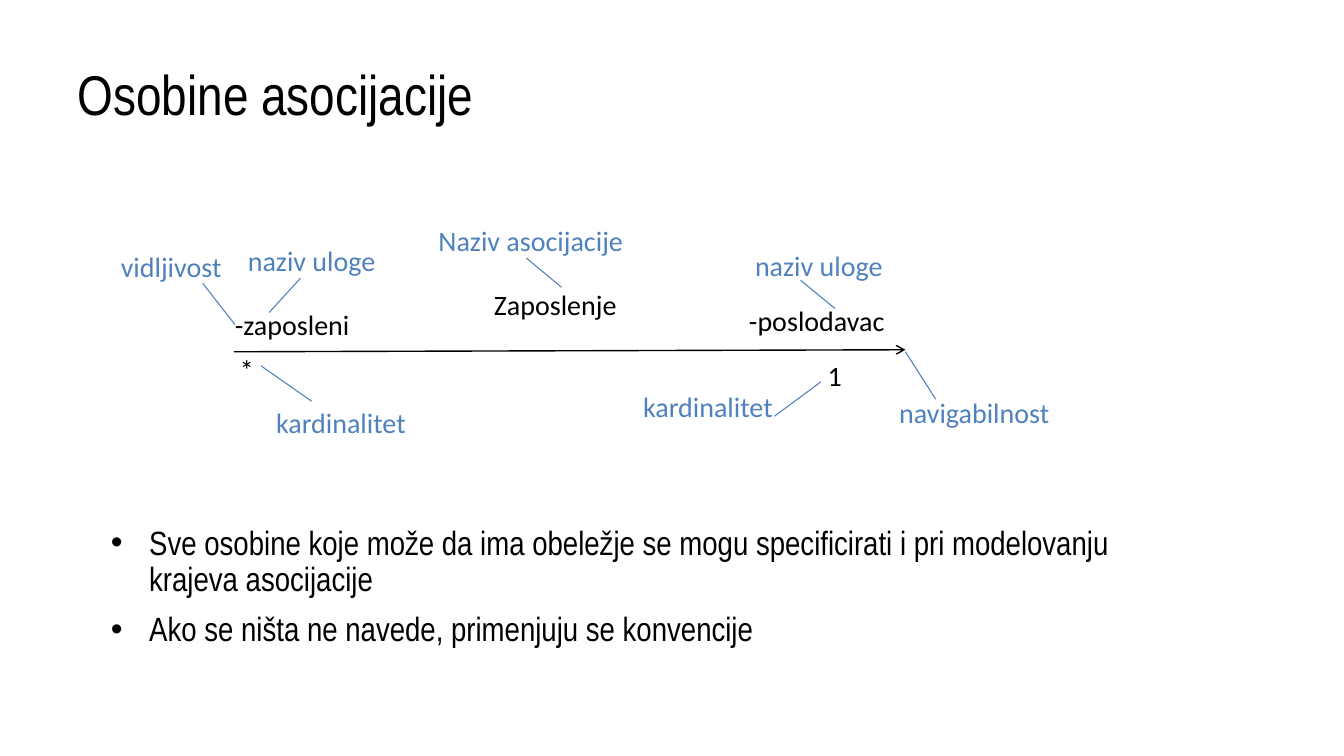
import pptx
import pptx.util
import pptx.dml.color
import pptx.enum.shapes
import pptx.enum.text
import pptx.oxml.ns
import lxml.etree
from dataclasses import dataclass

PX = 9144  # EMU in one px, 100 px to the inch


@dataclass(frozen=True)
class Theme:
    ink: str = "000000"
    note: str = "4F81BD"
    leader: str = "4B7EBC"
    heading_font: str = "Arial Narrow"
    label_font: str = "Calibri"
    title_size: int = 40
    body_size: int = 24
    label_size: int = 20
    arrow_width: float = 1
    leader_width: float = 0.75


theme = Theme()
ALIGN = pptx.enum.text.PP_ALIGN
ANCHOR = pptx.enum.text.MSO_ANCHOR


def write_text(shape, box, lines, *, font, size, color, align=ALIGN.LEFT,
               anchor=ANCHOR.TOP, line_spacing=1.0, space_after=0, hanging=0):
    """Place a shape at box (px) and fill it with one paragraph per line."""
    shape.left, shape.top, shape.width, shape.height = (n * PX for n in box)
    frame = shape.text_frame
    frame.word_wrap = True
    frame.auto_size = pptx.enum.text.MSO_AUTO_SIZE.NONE
    frame.vertical_anchor = anchor
    frame.text = "\n".join(lines)
    for paragraph in frame.paragraphs:
        paragraph.alignment = align
        paragraph.line_spacing = line_spacing
        paragraph.space_before = pptx.util.Pt(0)
        paragraph.space_after = pptx.util.Pt(space_after)
        if hanging:
            properties = paragraph._p.get_or_add_pPr()
            properties.set("marL", str(hanging * PX))
            properties.set("indent", str(-hanging * PX))
        for run in paragraph.runs:
            run.font.name = font
            run.font.size = pptx.util.Pt(size)
            run.font.color.rgb = pptx.dml.color.RGBColor.from_string(color)


def draw_line(start, end, *, color, width, arrow=False):
    line = slide.shapes.add_connector(
        pptx.enum.shapes.MSO_CONNECTOR.STRAIGHT, *(n * PX for n in start + end))
    line.line.color.rgb = pptx.dml.color.RGBColor.from_string(color)
    line.line.width = pptx.util.Pt(width)
    properties = line._element.spPr
    if arrow:
        outline = properties.find(pptx.oxml.ns.qn("a:ln"))
        lxml.etree.SubElement(outline, pptx.oxml.ns.qn("a:tailEnd"), type="arrow")
    lxml.etree.SubElement(properties, pptx.oxml.ns.qn("a:effectLst"))


presentation = pptx.Presentation()
presentation.slide_width = 1333 * PX
presentation.slide_height = 750 * PX
slide = presentation.slides.add_slide(presentation.slide_layouts[1])

write_text(slide.shapes.title, (67, 30, 1200, 125), ["Osobine asocijacije"],
           font=theme.heading_font, size=theme.title_size, color=theme.ink,
           anchor=ANCHOR.MIDDLE)

# The association with its own labels, then the notes that explain them
draw_line((232, 349), (898, 347), color=theme.ink, width=theme.arrow_width, arrow=True)

association_labels = [
    ("-zaposleni", 223, 300, 169),
    ("-poslodavac", 733, 296, 184),
    ("*", 228, 345, 65),
    ("1", 811, 351, 65),
    ("Zaposlenje", 480, 280, 168),
]
notes = [
    ("naziv uloge", 236, 237, 182),
    ("naziv uloge", 739, 242, 230),
    ("Naziv asocijacije", 425, 217, 271),
    ("kardinalitet", 264, 397, 193),
    ("kardinalitet", 628, 381, 193),
    ("navigabilnost", 882, 387, 193),
    ("vidljivost", 110, 243, 182),
]
for labels, color in ((association_labels, theme.ink), (notes, theme.note)):
    for text, left, top, width in labels:
        box = (left, top, width, 52)
        label = slide.shapes.add_textbox(*(n * PX for n in box))
        write_text(label, box, [text], font=theme.label_font, size=theme.label_size,
                   color=color, align=ALIGN.JUSTIFY, space_after=10)

leaders = [
    ((522, 256), (557, 285)),
    ((794, 278), (828, 306)),
    ((259, 363), (309, 398)),
    ((814, 379), (768, 413)),
    ((898, 349), (928, 396)),
    ((298, 276), (267, 310)),
    ((201, 281), (233, 322)),
]
for start, end in leaders:
    draw_line(start, end, color=theme.leader, width=theme.leader_width)

write_text(slide.placeholders[1], (100, 517, 1019, 133), [
    "Sve osobine koje može da ima obeležje se mogu specificirati i pri modelovanju "
    "krajeva asocijacije",
    "Ako se ništa ne navede, primenjuju se konvencije",
], font=theme.heading_font, size=theme.body_size, color=theme.ink,
    line_spacing=0.9, space_after=10, hanging=38)

presentation.save("out.pptx")
